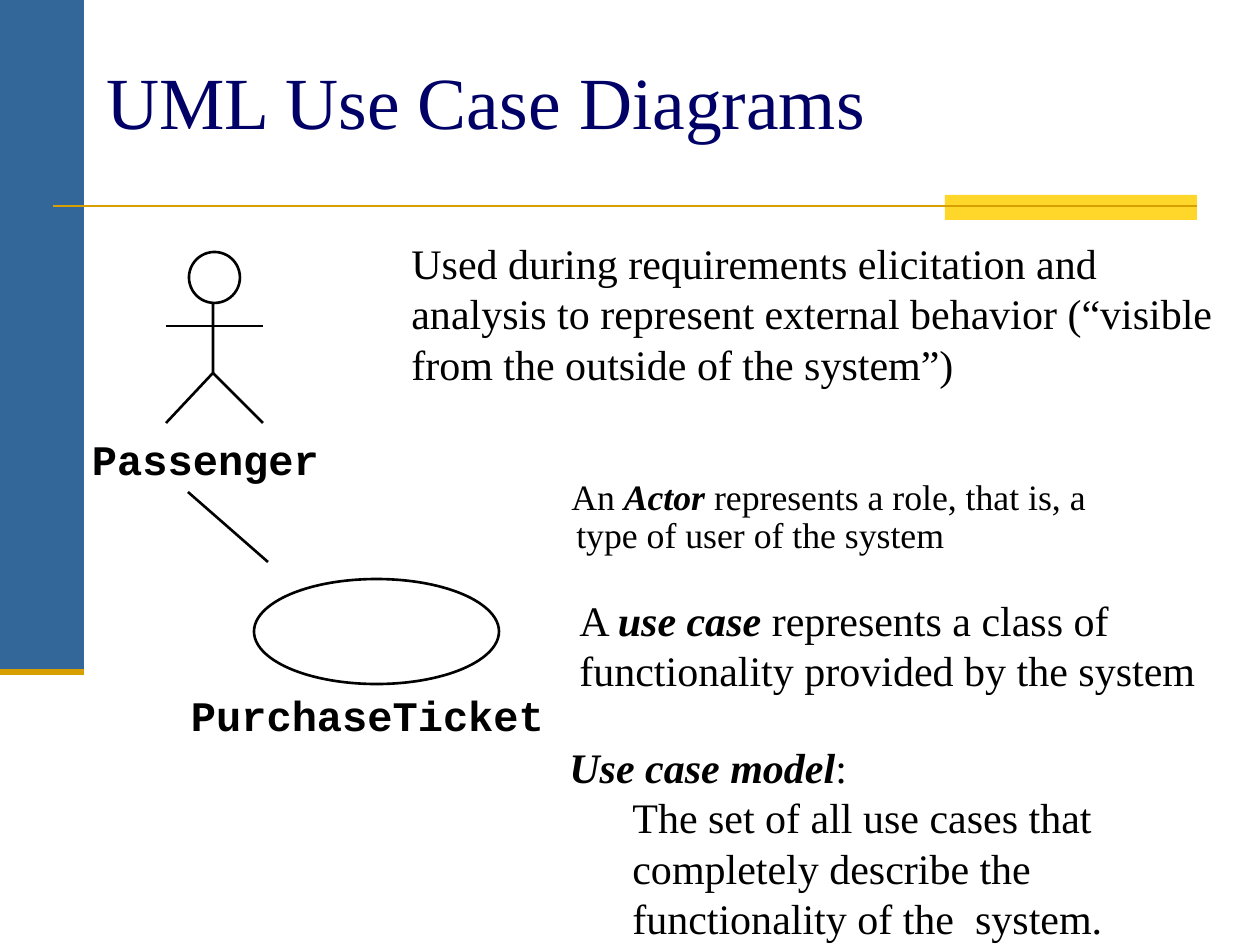
"""Build a slide that introduces UML use case diagrams."""
from dataclasses import dataclass

from lxml.etree import SubElement
from pptx import Presentation
from pptx.dml.color import RGBColor
from pptx.enum.shapes import MSO_CONNECTOR, MSO_SHAPE
from pptx.enum.text import MSO_ANCHOR, MSO_AUTO_SIZE
from pptx.oxml.ns import qn
from pptx.util import Pt

SCALE = 914400 / 126


def emu(pixels):
    return round(pixels * SCALE)


@dataclass(frozen=True)
class Theme:
    ink: str = "000000"
    paper: str = "FFFFFF"
    title: str = "000066"
    sidebar: str = "336699"
    accent: str = "FFD72B"
    rule: str = "D89F00"
    serif: str = "Times New Roman"
    mono: str = "Courier New"
    title_size: float = 42
    body_size: float = 24
    note_size: float = 20.4
    stroke: float = 1.5
    heavy_stroke: float = 3.5


class SlideBuilder:
    def __init__(self, slide, theme):
        self.shapes = slide.shapes
        self.theme = theme

    def outline(self, shape, color, width):
        shape.line.color.rgb = RGBColor.from_string(color)
        shape.line.width = Pt(width)

    def fill(self, shape, color):
        if color:
            shape.fill.solid()
            shape.fill.fore_color.rgb = RGBColor.from_string(color)
        else:
            shape.fill.background()
        shape.shadow.inherit = False

    def block(self, box, color):
        shape = self.shapes.add_shape(MSO_SHAPE.RECTANGLE, *map(emu, box))
        self.fill(shape, color)
        shape.line.fill.background()

    def ellipse(self, box, color=None):
        shape = self.shapes.add_shape(MSO_SHAPE.OVAL, *map(emu, box))
        self.fill(shape, color)
        self.outline(shape, self.theme.ink, self.theme.stroke)

    def line(self, start, end, color=None, width=None):
        connector = self.shapes.add_connector(
            MSO_CONNECTOR.STRAIGHT, *map(emu, (*start, *end)))
        self.outline(connector, color or self.theme.ink, width or self.theme.stroke)
        SubElement(connector._element.spPr, qn("a:effectLst"))

    def polyline(self, start, *points):
        builder = self.shapes.build_freeform(*start, scale=SCALE)
        builder.add_line_segments(points, close=False)
        shape = builder.convert_to_shape()
        self.fill(shape, None)
        self.outline(shape, self.theme.ink, self.theme.stroke)

    def style(self, paragraph, size, color, name):
        paragraph.font.size = Pt(size)
        paragraph.font.name = name
        paragraph.font.color.rgb = RGBColor.from_string(color)

    def text(self, box, *paragraphs, size=None, color=None, anchor=MSO_ANCHOR.TOP):
        """Add wrapped text; each paragraph is a list of (words, emphasised) runs."""
        frame = self.shapes.add_textbox(*map(emu, box)).text_frame
        frame.word_wrap = True
        frame.vertical_anchor = anchor
        for index, runs in enumerate(paragraphs):
            paragraph = frame.add_paragraph() if index else frame.paragraphs[0]
            self.style(paragraph, size or self.theme.body_size,
                       color or self.theme.ink, self.theme.serif)
            for words, emphasised in runs:
                run = paragraph.add_run()
                run.text = words
                if emphasised:
                    run.font.bold = run.font.italic = True
        return frame.paragraphs

    def indent(self, paragraph, left, first=0):
        properties = paragraph._p.get_or_add_pPr()
        properties.set("marL", str(emu(left)))
        properties.set("indent", str(emu(first)))

    def label(self, box, words):
        frame = self.shapes.add_textbox(*map(emu, box)).text_frame
        frame.margin_left = frame.margin_right = 0
        frame.margin_top = frame.margin_bottom = 0
        frame.word_wrap = False
        frame.auto_size = MSO_AUTO_SIZE.SHAPE_TO_FIT_TEXT
        paragraph = frame.paragraphs[0]
        paragraph.text = words
        self.style(paragraph, self.theme.body_size, self.theme.ink, self.theme.mono)
        paragraph.font.bold = True

    def actor(self, center, top):
        neck, hip, foot = top + 35, top + 121, top + 171
        left, right = center - 47, center + 50
        self.polyline((center, neck), (center, hip), (left, foot))
        self.line((center, hip), (right, foot))
        self.line((left, top + 74), (right, top + 74))
        self.ellipse((center - 24, top, 51, 51), self.theme.paper)


def main():
    presentation = Presentation()
    presentation.slide_width = emu(1260)
    presentation.slide_height = emu(945)
    theme = Theme()
    slide = presentation.slides.add_slide(presentation.slide_layouts[6])
    builder = SlideBuilder(slide, theme)

    builder.block((0, 0, 84, 672), theme.sidebar)
    builder.block((945, 195, 252, 25), theme.accent)
    builder.line((53, 206), (1197, 206), theme.rule)
    builder.line((0, 672), (84, 672), theme.rule, theme.heavy_stroke)
    builder.text((94, 21, 1071, 158), [("UML Use Case Diagrams", False)],
                 size=theme.title_size, color=theme.title, anchor=MSO_ANCHOR.MIDDLE)

    note, = builder.text(
        (525, 473, 620, 100),
        [("An ", False), ("Actor", True),
         (" represents a role, that is, a type of user of the system", False)],
        size=theme.note_size)
    builder.indent(note, 39, -5)
    note.line_spacing = 0.9

    builder.actor(213, 252)
    builder.label((92, 434, 227, 50), "Passenger")
    builder.ellipse((254, 579, 245, 105))
    builder.label((191, 690, 353, 50), "PurchaseTicket")
    builder.line((188, 492), (268, 562))

    builder.text((399, 231, 835, 135), [(
        "Used during requirements elicitation and analysis to represent "
        "external behavior (“visible from the outside of the system”)", False)])
    heading, definition = builder.text(
        (557, 735, 677, 210),
        [("Use case model", True), (":", False)],
        [("The set of all use cases that completely describe the "
          "functionality of the  system.", False)])
    definition.level = 1
    builder.indent(definition, 63)
    builder.text(
        (567, 588, 672, 126),
        [("A ", False), ("use case", True),
         (" represents a class of functionality provided by the system", False)])

    presentation.save("out.pptx")


if __name__ == "__main__":
    main()
